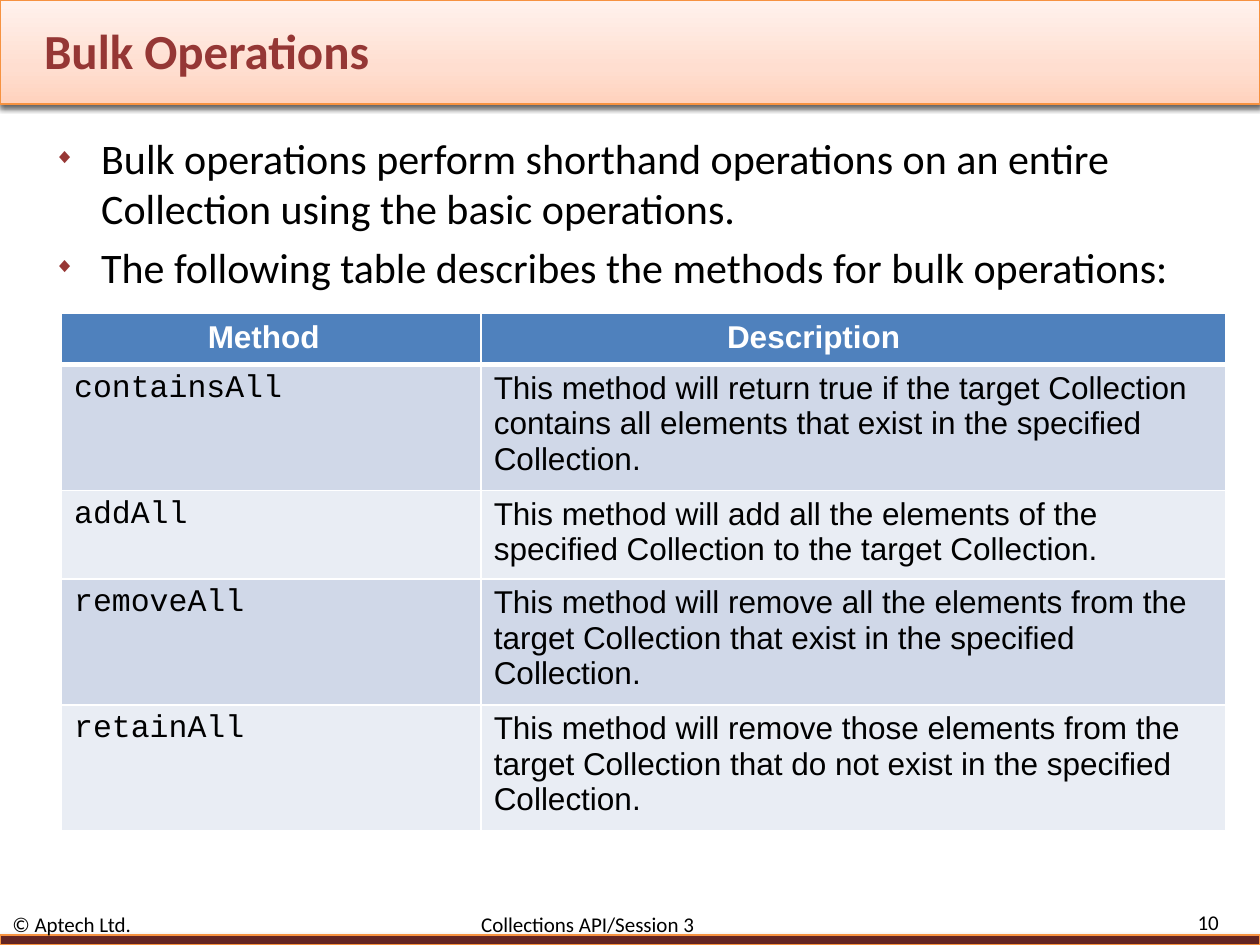
import copy

import lxml.etree
import pptx
import pptx.dml.color
import pptx.enum.shapes
import pptx.enum.text
import pptx.oxml
import pptx.oxml.ns
import pptx.util

Cm, Pt = pptx.util.Cm, pptx.util.Pt
RGB = pptx.dml.color.RGBColor
ALIGN = pptx.enum.text.PP_ALIGN
ANCHOR = pptx.enum.text.MSO_ANCHOR
qn = pptx.oxml.ns.qn
A_NS = 'xmlns:a="http://schemas.openxmlformats.org/drawingml/2006/main"'

BLACK = RGB(0x00, 0x00, 0x00)
WHITE = RGB(0xFF, 0xFF, 0xFF)
TITLE_RED = RGB(0x95, 0x37, 0x35)
BULLET_RED = RGB(0x97, 0x37, 0x35)
FOOTER_BROWN = RGB(0x63, 0x25, 0x23)
BAR_LINE = RGB(0xF6, 0x92, 0x40)
HEAD_BLUE = RGB(0x4F, 0x81, 0xBD)
BAND_DARK = RGB(0xD0, 0xD8, 0xE8)
BAND_LIGHT = RGB(0xE9, 0xED, 0xF4)
GRADIENT = [(0, RGB(0xFF, 0xD2, 0xBD)), (0.35, RGB(0xFF, 0xDE, 0xD0)), (1, RGB(0xFF, 0xF2, 0xED))]


def add_xml(parent, *fragments):
    """Append DrawingML fragments, written without a namespace declaration."""
    for fragment in fragments:
        root = pptx.oxml.parse_xml(f"<a:root {A_NS}>{fragment}</a:root>")
        parent.append(root[0])
    lxml.etree.cleanup_namespaces(parent)


def add_text(p, text, **font):
    r = p.add_run()
    r.text = text
    color = font.pop("color", BLACK)
    for name, value in font.items():
        setattr(r.font, name, value)
    r.font.color.rgb = color


prs = pptx.Presentation()
prs.slide_width, prs.slide_height = Cm(25.4), Cm(19.05)
slide = prs.slides.add_slide(prs.slide_layouts[6])

# Header and footer bars
bars = []
for top, height, alpha in [(0, 2.1, 60), (18.85, 0.2, 35)]:
    sp = slide.shapes.add_shape(pptx.enum.shapes.MSO_SHAPE.RECTANGLE, 0, Cm(top), prs.slide_width, Cm(height))
    sp.line.color.rgb = BAR_LINE
    sp.line.width = Pt(0.75)
    add_xml(sp._element.spPr,
            f'<a:effectLst><a:outerShdw blurRad="{Pt(3.1)}" dist="{Pt(1.7)}" dir="5400000" rotWithShape="0">'
            f'<a:srgbClr val="000000"><a:alpha val="{alpha * 1000}"/></a:srgbClr></a:outerShdw></a:effectLst>')
    bars.append(sp)
header, footer = bars
footer.fill.solid()
footer.fill.fore_color.rgb = FOOTER_BROWN
header.fill.gradient()
header.fill.gradient_angle = 90
first_stop = header._element.spPr.find(".//" + qn("a:gs"))
first_stop.addnext(copy.deepcopy(first_stop))
for stop, (position, color) in zip(header.fill.gradient_stops, GRADIENT):
    stop.position = position
    stop.color.rgb = color

# Text boxes
frames = {}
for name, left, top, width, height, anchor in [
    ("body", 0.84, 2.54, 23.93, 5.2, ANCHOR.TOP),
    ("title", 0.64, 0.43, 21.16, 1.14, ANCHOR.MIDDLE),
    ("footer", 0, 18.42, 22.43, 0.43, ANCHOR.MIDDLE),
    ("number", 22.66, 18.36, 2.16, 0.46, ANCHOR.MIDDLE),
]:
    tf = slide.shapes.add_textbox(Cm(left), Cm(top), Cm(width), Cm(height)).text_frame
    tf.word_wrap = True
    tf.vertical_anchor = anchor
    frames[name] = tf

add_text(frames["title"].paragraphs[0], "Bulk Operations", name="Calibri", size=Pt(28), bold=True, color=TITLE_RED)

for i, text in enumerate([
    "Bulk operations perform shorthand operations on an entire Collection using the basic operations.",
    "The following table describes the methods for bulk operations:",
]):
    p = frames["body"].add_paragraph() if i else frames["body"].paragraphs[0]
    pPr = p._p.get_or_add_pPr()
    pPr.set("marL", str(Cm(0.95)))
    pPr.set("indent", str(-Cm(0.95)))
    add_xml(pPr, f'<a:buClr><a:srgbClr val="{BULLET_RED}"/></a:buClr>',
            '<a:buSzPct val="50000"/>', '<a:buFont typeface="Arial"/>', '<a:buChar char="◆"/>')
    if i:
        p.space_before = Pt(4.8)
    add_text(p, text, name="Calibri", size=Pt(24))

p = frames["footer"].paragraphs[0]
add_xml(p._p.get_or_add_pPr(), f'<a:tabLst><a:tab pos="{Cm(9.45)}" algn="l"/></a:tabLst>')
add_text(p, "© Aptech Ltd.\tCollections API/Session 3", name="Calibri", size=Pt(12))
p = frames["number"].paragraphs[0]
p.alignment = ALIGN.RIGHT
add_text(p, "10", name="Calibri", size=Pt(12))

# Table of methods
ROWS = [
    ("Method", "Description"),
    ("containsAll", "This method will return true if the target Collection contains all elements "
                    "that exist in the specified Collection."),
    ("addAll", "This method will add all the elements of the specified Collection to the target Collection."),
    ("removeAll", "This method will remove all the elements from the target Collection "
                  "that exist in the specified Collection."),
    ("retainAll", "This method will remove those elements from the target Collection "
                  "that do not exist in the specified Collection."),
]
COLUMN_WIDTHS = [8.46, 15.01]
HEAD_RIGHT_MARGINS = [0.56, 1.86]
ROW_HEIGHT = 1.03
table = slide.shapes.add_table(len(ROWS), 2, Cm(1.24), Cm(6.32), Cm(sum(COLUMN_WIDTHS)),
                               Cm(ROW_HEIGHT * len(ROWS))).table
for column, width in zip(table.columns, COLUMN_WIDTHS):
    column.width = Cm(width)

for i, row in enumerate(ROWS):
    table.rows[i].height = Cm(ROW_HEIGHT)
    for j, text in enumerate(row):
        cell = table.cell(i, j)
        p = cell.text_frame.paragraphs[0]
        if i == 0:
            p.alignment = ALIGN.CENTER
            cell.margin_right = Cm(HEAD_RIGHT_MARGINS[j])
            add_text(p, text, name="Arial", size=Pt(18), bold=True, color=WHITE)
        else:
            add_text(p, text, name="Arial" if j else "Courier New", size=Pt(18), bold=False)
        for side in "LRTB":
            thick = (i, side) in [(0, "B"), (1, "T")]
            add_xml(cell._tc.get_or_add_tcPr(),
                    f'<a:ln{side} w="{Pt(3 if thick else 1)}"><a:solidFill><a:srgbClr val="{WHITE}"/>'
                    f'</a:solidFill></a:ln{side}>')
        cell.fill.solid()
        cell.fill.fore_color.rgb = HEAD_BLUE if i == 0 else BAND_DARK if i % 2 else BAND_LIGHT

prs.save("out.pptx")
